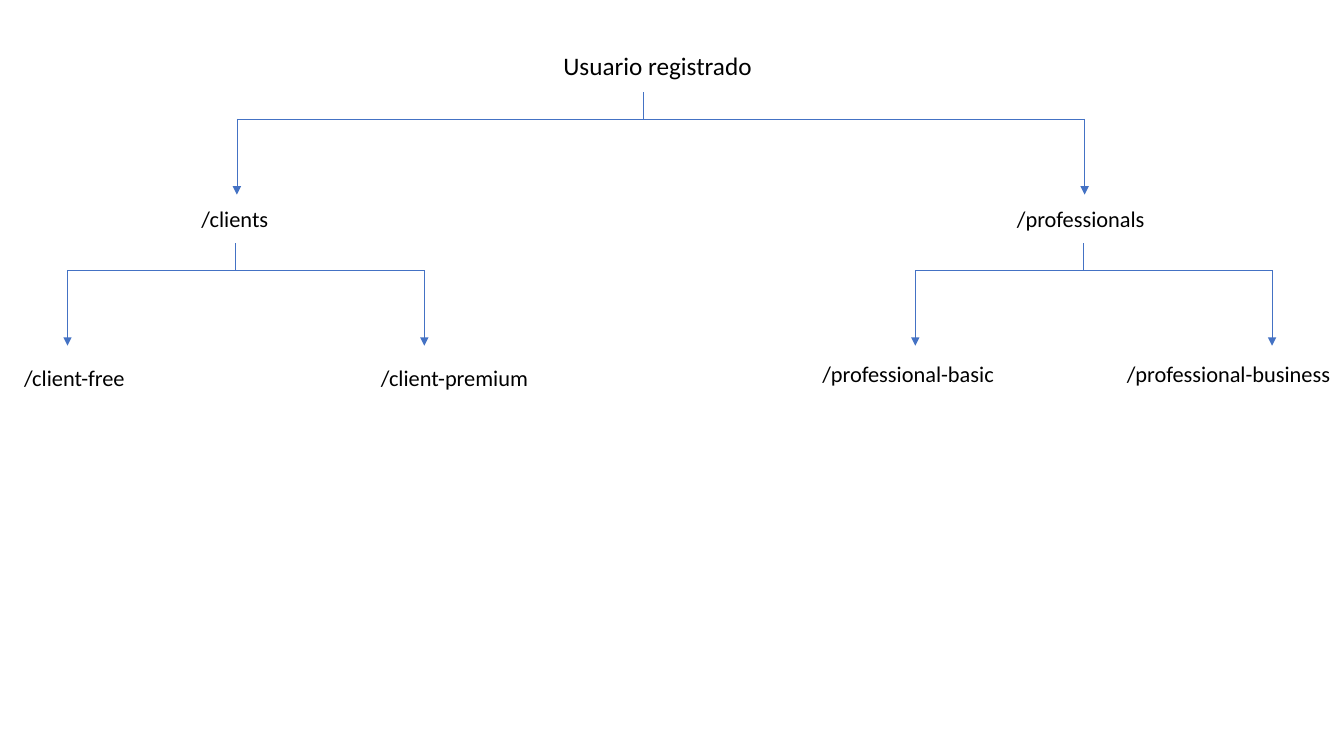
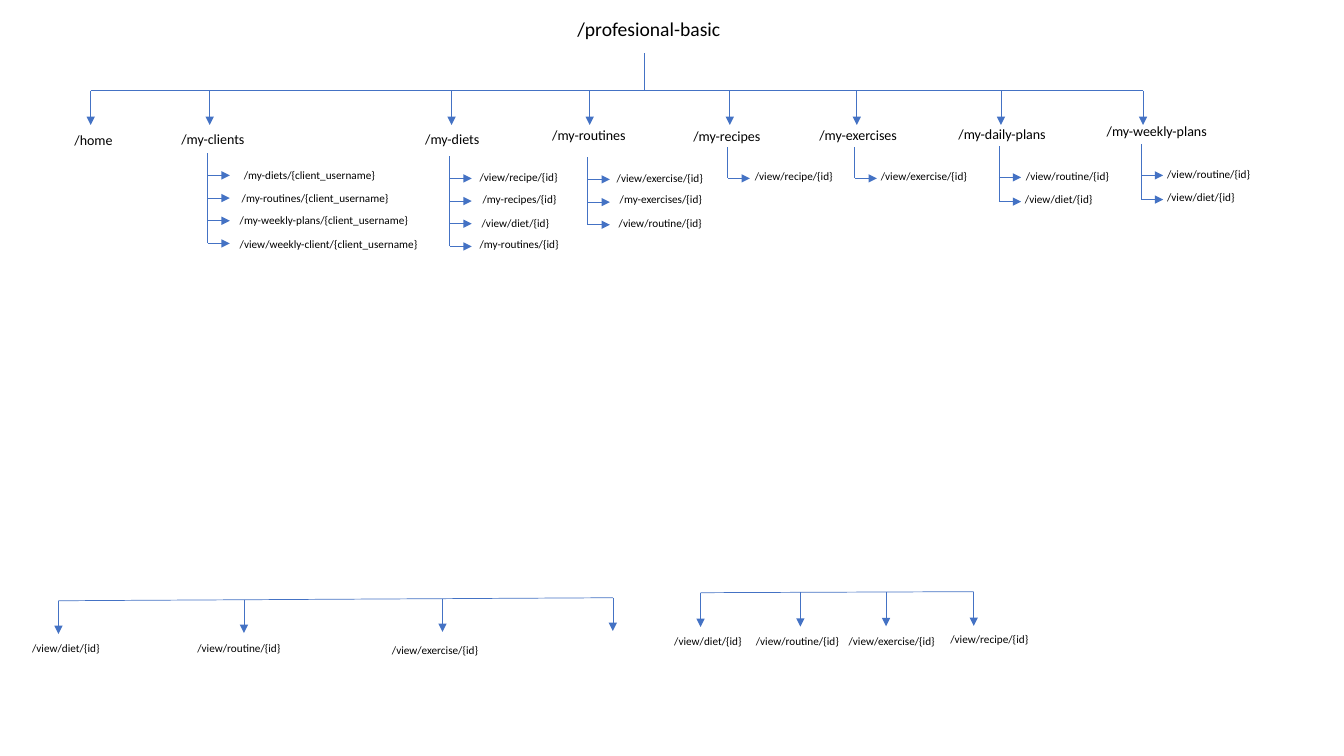
from dataclasses import dataclass

from lxml.etree import SubElement
from pptx import Presentation
from pptx.dml.color import RGBColor
from pptx.enum.shapes import MSO_CONNECTOR as Conn
from pptx.enum.text import MSO_AUTO_SIZE as AutoSize
from pptx.oxml.ns import qn
from pptx.presentation import Presentation as Deck
from pptx.slide import Slide
from pptx.util import Inches, Length, Pt


@dataclass(frozen=True)
class Theme:
    font: str = "Calibri"
    ink: RGBColor = RGBColor(0x00, 0x00, 0x00)
    accent: RGBColor = RGBColor(0x44, 0x72, 0xC4)
    line: float = 0.5
    root: int = 18
    section: int = 16
    page: int = 14
    menu: int = 10
    route: int = 8


THEME = Theme()
CELL = 0.1  # inches per grid column and row
COLS, ROWS = 133.33, 75
TRUNK_SHIFT = 0.2
TWIG = 2.2


@dataclass(frozen=True)
class Label:
    text: str
    col: float
    row: float
    cols: float = 11.4
    size: int = THEME.route


@dataclass(frozen=True)
class Stem:
    col: float
    top: float


@dataclass(frozen=True)
class Fork:
    """A bar with one arrow down to each tip; rise lifts its right end."""
    row: float
    tips: tuple[float, ...]
    drop: float
    stem: Stem | None = None
    rise: float = 0


@dataclass(frozen=True)
class Menu:
    """A heading under a fork tip, with a trunk and arrows to its routes."""
    tip: float
    heading: Label
    top: float = 0
    first: float = 0
    routes: tuple[Label, ...] = ()
    pitch: float = 2.25


def menu_label(text: str, col: float, row: float, cols: float = 12.9) -> Label:
    return Label(text, col, row, cols, THEME.menu)


def section_label(text: str, col: float, row: float, cols: float) -> Label:
    return Label(text, col, row, cols, THEME.section)


ROOT_LABELS = (
    Label("Usuario registrado", 54.9, 4.5, 31.1, THEME.root),
    section_label("/clients", 19, 19.9, 10.5),
    section_label("/professionals", 99.9, 19.9, 15.2),
    section_label("/client-free", 1.4, 35.6, 17),
    section_label("/client-premium", 36.8, 35.6, 17),
    section_label("/professional-basic", 80.6, 35.2, 22.5),
    section_label("/professional-business", 110.8, 35.2, 22.5),
)
ROOT_FORKS = (
    Fork(11.8, (23.5, 107.6), 7.5, Stem(63.8, 9.1)),
    Fork(26.8, (6.7, 42.1), 7.5, Stem(23.4, 24.1)),
    Fork(26.8, (90.8, 126.2), 7.5, Stem(107.5, 24.1)),
)

PAGE_LABEL = Label("/profesional-basic", 56.3, 1.2, 18.3, THEME.page)
MENUS = (
    Menu(9, menu_label("/home", 6.4, 12.6, 7.2)),
    Menu(20.8, menu_label("/my-clients", 17, 12.5), 15.2, 17.4, (
        Label("/my-diets/{client_username}", 23.2, 16.2, 16.3),
        Label("/my-routines/{client_username}", 23, 18.5, 17.3),
        Label("/my-weekly-plans/{client_username}", 22.8, 20.7, 19.4),
        Label("/view/weekly-client/{client_username}", 22.8, 23.1, 19.9),
    )),
    Menu(44.8, menu_label("/my-diets", 41.2, 12.5, 8), 15.5, 17.7, (
        Label("/view/recipe/{id}", 46.6, 16.4),
        Label("/my-recipes/{id}", 46.9, 18.6),
        Label("/view/diet/{id}", 46.8, 21),
        Label("/my-routines/{id}", 46.6, 23.1),
    )),
    Menu(58.5, menu_label("/my-routines", 53.8, 12.1), 15.6, 17.8, (
        Label("/view/exercise/{id}", 60.2, 16.5),
        Label("/my-exercises/{id}", 60.5, 18.6),
        Label("/view/routine/{id}", 60.4, 21),
    )),
    Menu(72.4, menu_label("/my-recipes", 67.8, 12.2), 14.6, 17.7, (
        Label("/view/recipe/{id}", 73.9, 16.3),
    )),
    Menu(85, menu_label("/my-exercises", 80.3, 12.1), 14.6, 17.7, (
        Label("/view/exercise/{id}", 86.4, 16.3),
    )),
    Menu(99.3, menu_label("/my-daily-plans", 94.1, 12), 14.5, 17.6, (
        Label("/view/routine/{id}", 100.8, 16.3),
        Label("/view/diet/{id}", 100.7, 18.6),
    ), 2.4),
    Menu(113.4, menu_label("/my-weekly-plans", 108.8, 11.7), 14.3, 17.4, (
        Label("/view/routine/{id}", 114.8, 16.1),
        Label("/view/diet/{id}", 114.8, 18.4),
    ), 2.4),
)
PAGE_FORKS = (
    Fork(9, tuple(menu.tip for menu in MENUS), 3.4, Stem(63.9, 5.3)),
    Fork(59.6, (5.8, 24.2, 43.9, 60.8), 3.3, rise=0.3),
    Fork(58.8, (69.5, 79.4, 87.9, 96.6), 3.4, rise=0.1),
)
VIEW_LABELS = (
    Label("/view/diet/{id}", 2.2, 63.1),
    Label("/view/routine/{id}", 18.6, 63.1),
    Label("/view/exercise/{id}", 37.9, 63.3),
    Label("/view/diet/{id}", 65.9, 62.4),
    Label("/view/routine/{id}", 74, 62.4),
    Label("/view/exercise/{id}", 83.2, 62.4),
    Label("/view/recipe/{id}", 93.3, 62.2),
)


def grid(cells: float) -> Length:
    return Inches(cells * CELL)


def draw_label(s: Slide, label: Label) -> None:
    height = Pt(label.size * 1.2) + Inches(0.1)
    sp = s.shapes.add_textbox(
        grid(label.col), grid(label.row), grid(label.cols), height)
    tf = sp.text_frame
    tf.word_wrap = True
    tf.auto_size = AutoSize.SHAPE_TO_FIT_TEXT
    r = tf.paragraphs[0].add_run()
    r.text = label.text
    r.font.name = THEME.font
    r.font.size = Pt(label.size)
    r.font.color.rgb = THEME.ink


def draw_line(s: Slide, x1: float, y1: float, x2: float, y2: float,
              arrow: bool = False) -> None:
    sp = s.shapes.add_connector(
        Conn.STRAIGHT, grid(x1), grid(y1), grid(x2), grid(y2))
    sp.line.color.rgb = THEME.accent
    sp.line.width = Pt(THEME.line)
    props = sp.element.spPr
    if arrow:
        SubElement(props.find(qn("a:ln")), qn("a:tailEnd"), type="triangle")
    SubElement(props, qn("a:effectLst"))


def draw_fork(s: Slide, fork: Fork) -> None:
    left, right = fork.tips[0], fork.tips[-1]
    draw_line(s, left, fork.row, right, fork.row - fork.rise)
    if fork.stem:
        draw_line(s, fork.stem.col, fork.row, fork.stem.col, fork.stem.top)
    for tip in fork.tips:
        start = fork.row - fork.rise * (tip - left) / (right - left)
        draw_line(s, tip, start, tip, start + fork.drop, arrow=True)


def draw_menu(s: Slide, menu: Menu) -> None:
    draw_label(s, menu.heading)
    if not menu.routes:
        return
    trunk = menu.tip - TRUNK_SHIFT
    last = menu.first + menu.pitch * (len(menu.routes) - 1)
    draw_line(s, trunk, menu.top, trunk, last)
    for i, route in enumerate(menu.routes):
        row = menu.first + menu.pitch * i
        draw_line(s, trunk, row, trunk + TWIG, row, arrow=True)
        draw_label(s, route)


def add_tree(prs: Deck, labels: tuple[Label, ...], forks: tuple[Fork, ...],
             menus: tuple[Menu, ...] = ()) -> None:
    s = prs.slides.add_slide(prs.slide_layouts[6])
    for fork in forks:
        draw_fork(s, fork)
    for label in labels:
        draw_label(s, label)
    for menu in menus:
        draw_menu(s, menu)


def main() -> None:
    prs = Presentation()
    prs.slide_width, prs.slide_height = grid(COLS), grid(ROWS)
    add_tree(prs, ROOT_LABELS, ROOT_FORKS)
    add_tree(prs, (PAGE_LABEL, *VIEW_LABELS), PAGE_FORKS, MENUS)
    prs.save("out.pptx")


if __name__ == "__main__":
    main()
